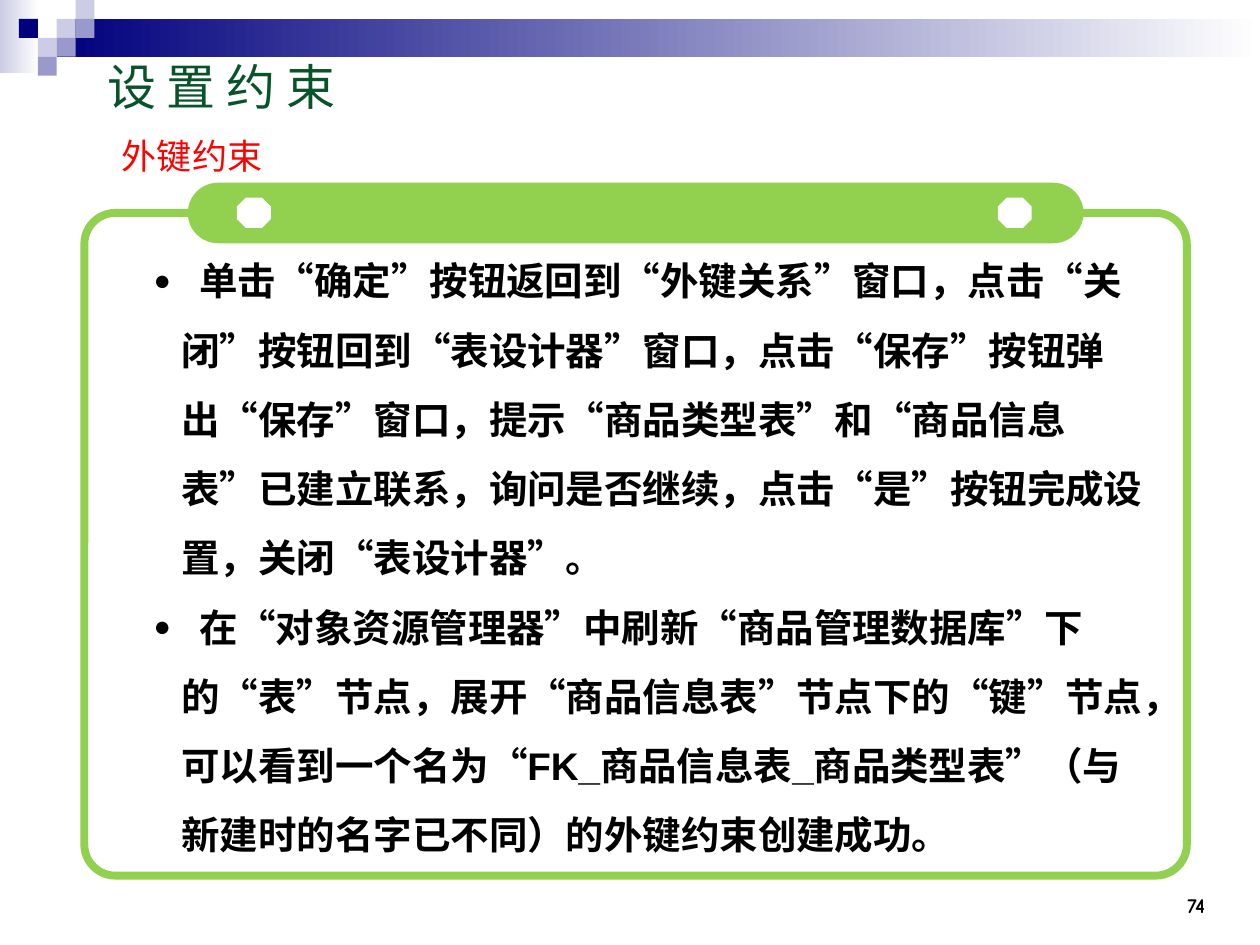
import pptx
import pptx.dml.color
import pptx.enum.shapes
import pptx.enum.text
import pptx.oxml
import pptx.oxml.ns
import pptx.util

Pt = pptx.util.Pt
RGBColor = pptx.dml.color.RGBColor
MSO_SHAPE = pptx.enum.shapes.MSO_SHAPE
MSO_ANCHOR = pptx.enum.text.MSO_ANCHOR
PP_ALIGN = pptx.enum.text.PP_ALIGN

NAVY = RGBColor(0x00, 0x00, 0x7D)
LAVENDER = RGBColor(0xCC, 0xCC, 0xE6)
PERIWINKLE = RGBColor(0x99, 0x99, 0xCC)
WHITE = RGBColor(0xFF, 0xFF, 0xFF)
BLACK = RGBColor(0x00, 0x00, 0x00)
RED = RGBColor(0xFF, 0x00, 0x00)
DARK_GREEN = RGBColor(0x09, 0x53, 0x2A)
LIME = RGBColor(0x92, 0xD0, 0x50)

SQUARE = 10.8
CHECKERS = [  # column, row, colour
    (3, 1, LAVENDER), (4, 0, LAVENDER), (4, 1, PERIWINKLE), (2, 2, LAVENDER),
    (1, 1, NAVY), (3, 2, PERIWINKLE), (2, 3, PERIWINKLE),
]
BODY_INDENT = 16
FIRST_LINE_TAB = 26
STEPS = [
    "单击“确定”按钮返回到“外键关系”窗口，点击“关闭”按钮回到“表设计器”窗口，"
    "点击“保存”按钮弹出“保存”窗口，提示“商品类型表”和“商品信息表”已建立联系，"
    "询问是否继续，点击“是”按钮完成设置，关闭“表设计器”。",
    "在“对象资源管理器”中刷新“商品管理数据库”下的“表”节点，展开“商品信息表”"
    "节点下的“键”节点，可以看到一个名为“FK_商品信息表_商品类型表”"
    "（与新建时的名字已不同）的外键约束创建成功。",
]


def add_solid(slide, kind, box, color, adjustment=None):
    shape = slide.shapes.add_shape(kind, *map(Pt, box))
    shape.shadow.inherit = False
    shape.fill.solid()
    shape.fill.fore_color.rgb = color
    shape.line.fill.background()
    if adjustment is not None:
        shape.adjustments[0] = adjustment
    return shape


def add_fading_band(slide, box, color):
    """Add a rectangle that fades from color to white, left to right."""
    band = add_solid(slide, MSO_SHAPE.RECTANGLE, box, color)
    band.fill.gradient()
    band.fill.gradient_angle = 0
    for stop, stop_color, position in zip(band.fill.gradient_stops, (color, WHITE), (0, 1)):
        stop.color.rgb = stop_color
        stop.position = position


def add_header(slide):
    add_fading_band(slide, (0, 0, 22.3, 41.8), LAVENDER)
    add_fading_band(slide, (32.4, SQUARE, 687.6, 2 * SQUARE), NAVY)
    for column, row, color in CHECKERS:
        box = (column * SQUARE, row * SQUARE, SQUARE, SQUARE)
        add_solid(slide, MSO_SHAPE.RECTANGLE, box, color)


def add_frame(slide):
    frame = add_solid(slide, MSO_SHAPE.ROUNDED_RECTANGLE, (48.2, 121.7, 630, 378.7), WHITE, 0.047)
    frame.fill.background()
    frame.line.color.rgb = LIME
    frame.line.width = Pt(4.5)
    add_solid(slide, MSO_SHAPE.ROUNDED_RECTANGLE, (107.3, 104.4, 511.9, 34.6), LIME, 0.5)
    for left in (135.4, 570.2):
        add_solid(slide, MSO_SHAPE.OCTAGON, (left, 113, 19.4, 17.3), WHITE, 0.293)


def place(shape, box):
    shape.left, shape.top, shape.width, shape.height = map(Pt, box)
    shape.text_frame.word_wrap = True
    shape.text_frame.auto_size = pptx.enum.text.MSO_AUTO_SIZE.NONE


def format_paragraph(paragraph, size, color, name="Arial", bold=False, align=PP_ALIGN.LEFT):
    paragraph.alignment = align
    font = paragraph.font
    font.size, font.name, font.bold = Pt(size), name, bold
    font.color.rgb = color


def fill_title(slide):
    title = slide.shapes.title
    place(title, (54, 15.1, 489.6, 68.4))
    title.text_frame.vertical_anchor = MSO_ANCHOR.MIDDLE
    title.text_frame.text = "设 置 约 束"
    format_paragraph(title.text_frame.paragraphs[0], 28, DARK_GREEN, "Noto Sans CJK SC")


def add_label(slide, box, text, size, color, anchor=MSO_ANCHOR.TOP, **style):
    label = slide.shapes.add_textbox(0, 0, 0, 0)
    place(label, box)
    label.text_frame.vertical_anchor = anchor
    label.text_frame.text = text
    format_paragraph(label.text_frame.paragraphs[0], size, color, **style)


def add_bullet(paragraph):
    """Give a hanging bullet, with a tab stop where the first line's text starts."""
    properties = paragraph._p.get_or_add_pPr()
    properties.set("marL", str(Pt(BODY_INDENT)))
    properties.set("indent", str(-Pt(BODY_INDENT)))
    namespace = pptx.oxml.ns.nsdecls("a")
    for xml in (
        f'<a:buClr {namespace}><a:srgbClr val="{BLACK}"/></a:buClr>',
        f'<a:buSzPct {namespace} val="75000"/>',
        f'<a:buFont {namespace} typeface="Arial"/>',
        f'<a:buChar {namespace} char="●"/>',
        f'<a:tabLst {namespace}><a:tab pos="{Pt(FIRST_LINE_TAB)}" algn="l"/></a:tabLst>',
    ):
        properties.append(pptx.oxml.parse_xml(xml))


def fill_body(slide):
    body = slide.placeholders[1]
    place(body, (80.6, 130.3, 585.4, 363.6))
    text_frame = body.text_frame
    text_frame.text = "\n".join("\t" + step for step in STEPS)
    for paragraph in text_frame.paragraphs:
        add_bullet(paragraph)
        paragraph.line_spacing = 1.5
        paragraph.space_before = Pt(0)
        format_paragraph(paragraph, 22, BLACK, bold=True)


def main():
    presentation = pptx.Presentation()
    presentation.slide_width, presentation.slide_height = Pt(720), Pt(540)
    slide = presentation.slides.add_slide(presentation.slide_layouts[1])
    add_header(slide)
    add_label(slide, (635.8, 491.8, 59.8, 36), "74", 12, BLACK, MSO_ANCHOR.BOTTOM,
              name="Comic Neue", bold=True, align=PP_ALIGN.RIGHT)
    fill_title(slide)
    add_label(slide, (62.6, 73.4, 181.4, 31.7), "外键约束", 20, RED)
    fill_body(slide)
    add_frame(slide)
    presentation.save("out.pptx")


if __name__ == "__main__":
    main()
